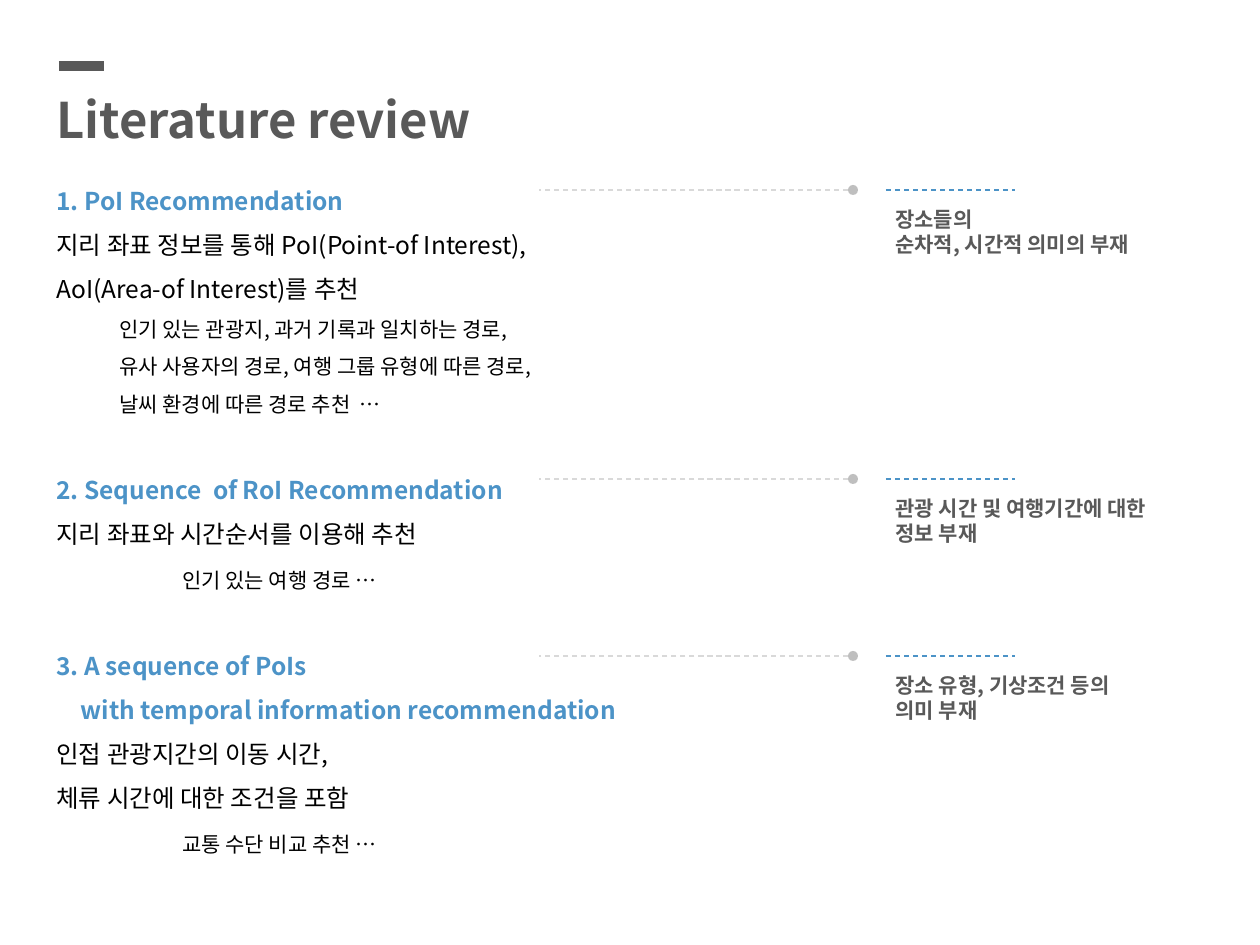
from dataclasses import dataclass

from lxml.etree import SubElement
from pptx import Presentation
from pptx.dml.color import RGBColor
from pptx.enum.dml import MSO_LINE_DASH_STYLE as DASH
from pptx.enum.shapes import MSO_CONNECTOR, MSO_SHAPE
from pptx.enum.text import MSO_ANCHOR, MSO_AUTO_SIZE, PP_ALIGN
from pptx.oxml.ns import qn
from pptx.util import Pt


@dataclass(frozen=True)
class Theme:
    font: str = "Noto Sans CJK KR"
    dark: str = "595959"
    accent: str = "4C93C7"
    body: str = "000000"
    leader: str = "D9D9D9"
    dot: str = "BFBFBF"
    title_size: int = 28
    body_size: int = 14
    small_size: int = 12


THEME = Theme()
SECTION_GAP = 25  # points above each later heading

# Each section: y of its rule, heading, body, details, detail indent (px),
# space above the details (points), and the limits noted on the right.
SECTIONS = [
    (190, ["1. PoI Recommendation"],
     ["지리 좌표 정보를 통해 PoI(Point-of Interest),", "AoI(Area-of Interest)를 추천"],
     ["인기 있는 관광지, 과거 기록과 일치하는 경로,",
      "유사 사용자의 경로, 여행 그룹 유형에 따른 경로,",
      "날씨 환경에 따른 경로 추천  …"], 63, 0,
     ["장소들의", "순차적, 시간적 의미의 부재"]),
    (479, ["2. Sequence  of RoI Recommendation"],
     ["지리 좌표와 시간순서를 이용해 추천"],
     ["인기 있는 여행 경로 …"], 126, 3.5,
     ["관광 시간 및 여행기간에 대한", "정보 부재"]),
    (656, ["3. A sequence of PoIs", "with temporal information recommendation"],
     ["인접 관광지간의 이동 시간,", "체류 시간에 대한 조건을 포함"],
     ["교통 수단 비교 추천 …"], 126, 3.5,
     ["장소 유형, 기상조건 등의", "의미 부재"]),
]


def px(n):
    return round(n * 914400 / 126)


def set_font(p, size, color, bold=False):
    font = p.font
    font.name, font.size, font.bold = THEME.font, Pt(size), bold
    font.color.rgb = RGBColor.from_string(color)
    SubElement(p._p.pPr.find(qn("a:defRPr")), qn("a:ea"), typeface=THEME.font)


def add_text_box(s, x, y, w, h):
    tf = s.shapes.add_textbox(px(x), px(y), px(w), px(h)).text_frame
    tf.word_wrap = True
    return tf


def add_line(s, x1, x2, y, color, width=0.75, dash=None):
    c = s.shapes.add_connector(MSO_CONNECTOR.STRAIGHT, px(x1), px(y), px(x2), px(y))
    c.line.color.rgb = RGBColor.from_string(color)
    c.line.width = Pt(width)
    if dash:
        c.line.dash_style = dash
    SubElement(c._element.spPr, qn("a:effectLst"))


def add_dot(s, x, y, d):
    sp = s.shapes.add_shape(MSO_SHAPE.OVAL, px(x), px(y), px(d), px(d))
    sp.shadow.inherit = False
    sp.fill.solid()
    sp.fill.fore_color.rgb = RGBColor.from_string(THEME.dot)
    sp.line.fill.background()


def add_paragraph(tf, text):
    """Fill the empty first paragraph, or append a new one."""
    p = tf.paragraphs[0] if not tf.text else tf.add_paragraph()
    p.text = text
    return p


def add_review_line(tf, text, size, color, bold=False, indent=0, before=0):
    p = add_paragraph(tf, text)
    p.alignment = PP_ALIGN.JUSTIFY
    p.line_spacing = 1.5
    p.space_before = Pt(before)
    p._p.get_or_add_pPr().set("marL", str(px(indent)))
    set_font(p, size, color, bold)


def add_title(s, text):
    title = s.shapes.title
    title.left, title.top, title.width, title.height = px(44), px(83), px(714), px(72)
    tf = title.text_frame
    tf.text = text
    tf.vertical_anchor = MSO_ANCHOR.TOP
    tf.auto_size = MSO_AUTO_SIZE.NONE
    p = tf.paragraphs[0]
    p.alignment = PP_ALIGN.LEFT
    set_font(p, THEME.title_size, THEME.dark, True)
    add_line(s, 59, 104, 66, THEME.dark, 6)


def add_review(s):
    tf = add_text_box(s, 44, 165, 1191, 706)
    for i, (_, heading, body, details, indent, before, _) in enumerate(SECTIONS):
        for j, text in enumerate(heading):
            gap = SECTION_GAP if i and not j else 0
            add_review_line(tf, text, THEME.body_size, THEME.accent, True, 24 * j, gap)
        for text in body:
            add_review_line(tf, text, THEME.body_size, THEME.body)
        for text in details:
            add_review_line(tf, text, THEME.small_size, THEME.body, False, indent, before)


def add_limit(s, y, lines):
    """Leader, dot and rule at y, with the limits of the approach below."""
    add_line(s, 886, 1015, y, THEME.accent, dash=DASH.DASH)
    add_line(s, 857, 539, y, THEME.leader, dash=DASH.DASH)
    add_dot(s, 848, y - 5, 10)
    tf = add_text_box(s, 883, y + 10, 323, 63)
    for text in lines:
        set_font(add_paragraph(tf, text), THEME.small_size, THEME.dark, True)


def main():
    prs = Presentation()
    prs.slide_width, prs.slide_height = px(1260), px(945)
    s = prs.slides.add_slide(prs.slide_layouts[5])
    add_title(s, "Literature review")
    add_review(s)
    for y, *_, limits in SECTIONS:
        add_limit(s, y, limits)
    prs.save("out.pptx")


if __name__ == "__main__":
    main()
